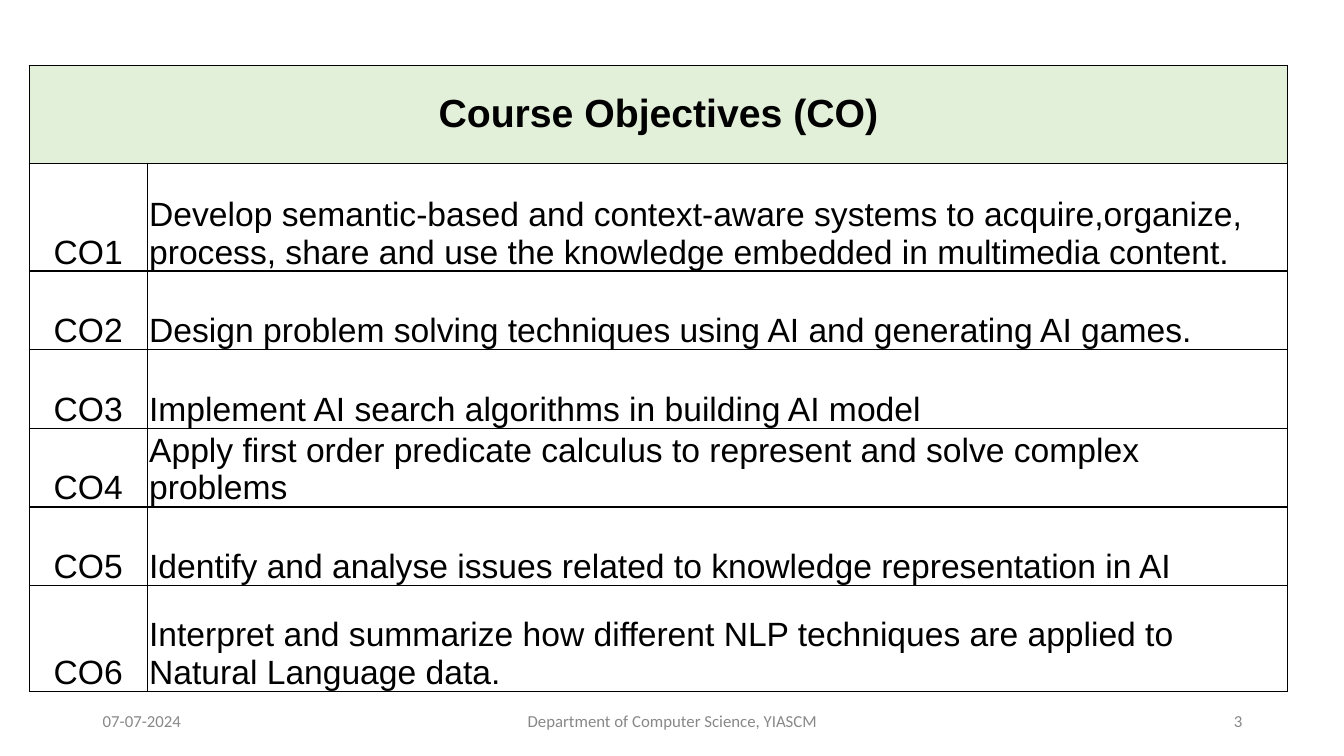
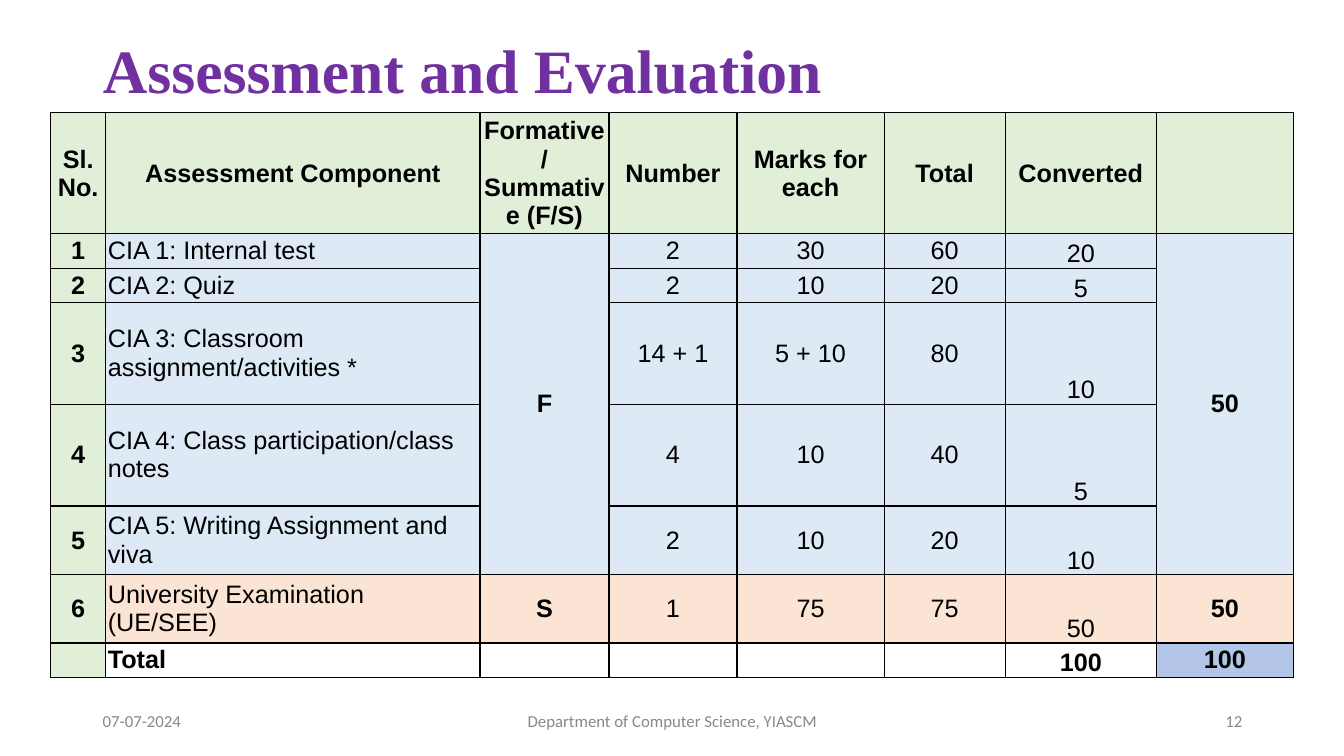
from dataclasses import dataclass
from typing import Callable, Optional

from lxml import etree
from pptx import Presentation
from pptx import util as u
from pptx.dml import color
from pptx.enum import text
from pptx.oxml import ns

# Shared style
COLOURS = {
    "ink": "000000",
    "title": "7030A0",
    "footer": "888888",
    "objectives": "E2EFD9",
    "heading": "E1EFD8",
    "formative": "DDEAF6",
    "summative": "FBE4D4",
    "total": "B3C6E7",
}
LEFT, CENTER, RIGHT = text.PP_ALIGN.LEFT, text.PP_ALIGN.CENTER, text.PP_ALIGN.RIGHT
MIDDLE, BOTTOM = text.MSO_ANCHOR.MIDDLE, text.MSO_ANCHOR.BOTTOM
TITLE_FONT = {"name": "Times New Roman", "size": u.Pt(44), "bold": True}
FOOTER_FONT = {"name": "Calibri", "size": u.Pt(12), "bold": False}
CELL_MARGINS = {
    "margin_left": u.Inches(0.02),
    "margin_right": u.Inches(0.02),
    "margin_top": 0,
    "margin_bottom": 0,
}
FOOTER_DATE = "07-07-2024"
FOOTER_DEPARTMENT = "Department of Computer Science, YIASCM"
TITLE_ONLY, BLANK = 5, 6


@dataclass
class CellStyle:
    fill: Optional[str] = None
    size: int = 18
    bold: bool = False
    align: text.PP_ALIGN = CENTER
    anchor: text.MSO_ANCHOR = MIDDLE


@dataclass
class TableSpec:
    left: float
    top: float
    columns: list[float]
    rows: list[float]
    cells: list[list[str]]
    merges: list[tuple[int, int, int, int]]
    style: Callable[[int, int], CellStyle]


# Content
OBJECTIVES = [
    "Develop semantic-based and context-aware systems to acquire,organize, "
    "process, share and use the knowledge embedded in multimedia content.",
    "Design problem solving techniques using AI and generating AI games.",
    "Implement AI search algorithms in building AI model",
    "Apply first order predicate calculus to represent and solve complex problems",
    "Identify and analyse issues related to knowledge representation in AI",
    "Interpret and summarize how different NLP techniques are applied to "
    "Natural Language data.",
]
ASSESSMENTS = [
    ["Sl. No.", "Assessment Component", "Formative/ Summative (F/S)", "Number",
     "Marks for each", "Total", "Converted", ""],
    ["1", "CIA 1: Internal test", "F", "2", "30", "60", "20", "50"],
    ["2", "CIA 2: Quiz", "", "2", "10", "20", "5", ""],
    ["3", "CIA 3: Classroom assignment/activities *", "", "14 + 1", "5 + 10", "80", "10", ""],
    ["4", "CIA 4: Class participation/class notes", "", "4", "10", "40", "5", ""],
    ["5", "CIA 5: Writing Assignment and viva", "", "2", "10", "20", "10", ""],
    ["6", "University Examination (UE/SEE)", "S", "1", "75", "75", "50", "50"],
    ["", "Total", "", "", "", "", "100", "100"],
]


def objective_style(row: int, column: int) -> CellStyle:
    if row == 0:
        return CellStyle("objectives", 28, True)
    return CellStyle(size=24, align=LEFT if column else CENTER, anchor=BOTTOM)


def assessment_style(row: int, column: int) -> CellStyle:
    if row == 0:
        return CellStyle("heading", bold=True)
    total_row = row == len(ASSESSMENTS) - 1
    if column == 0:
        fill = "heading"
    elif total_row:
        fill = "total" if column == 7 else None
    else:
        fill = "summative" if row == 6 else "formative"
    return CellStyle(
        fill,
        bold=total_row or column in (0, 2, 7),
        align=LEFT if column == 1 else CENTER,
        anchor=BOTTOM if column == 6 else MIDDLE,
    )


OBJECTIVES_TABLE = TableSpec(
    0.29, 0.65,
    [1.17, 11.31],
    [0.97, 1.07, 0.78, 0.78, 0.78, 0.78, 1.05],
    [["Course Objectives (CO)", ""]]
    + [[f"CO{number}", goal] for number, goal in enumerate(OBJECTIVES, 1)],
    [(0, 0, 0, 1)],
    objective_style,
)
ASSESSMENT_TABLE = TableSpec(
    0.5, 1.12,
    [0.55, 3.71, 1.28, 1.27, 1.46, 1.2, 1.5, 1.36],
    [1.01, 0.34, 0.34, 1.01, 1.01, 0.68, 0.68, 0.34],
    ASSESSMENTS,
    [(1, 2, 5, 2), (1, 7, 5, 7)],
    assessment_style,
)


# Drawing
def rgb(name: str) -> color.RGBColor:
    return color.RGBColor.from_string(COLOURS[name])


def apply(target, values: dict) -> None:
    for name, value in values.items():
        setattr(target, name, value)


def write(frame, content: str, font: dict, colour: str, align: text.PP_ALIGN) -> None:
    paragraph = frame.paragraphs[0]
    paragraph.alignment = align
    run = paragraph.add_run()
    run.text = content
    apply(run.font, font)
    run.font.color.rgb = rgb(colour)


def add_borders(cell) -> None:
    properties = cell._tc.get_or_add_tcPr()
    for side in ("a:lnL", "a:lnR", "a:lnT", "a:lnB"):
        line = etree.SubElement(properties, ns.qn(side), w=str(u.Pt(1)))
        fill = etree.SubElement(line, ns.qn("a:solidFill"))
        etree.SubElement(fill, ns.qn("a:srgbClr"), val=COLOURS["ink"])


def format_cell(cell, content: str, style: CellStyle) -> None:
    apply(cell, CELL_MARGINS | {"vertical_anchor": style.anchor})
    add_borders(cell)
    if style.fill:
        cell.fill.solid()
        cell.fill.fore_color.rgb = rgb(style.fill)
    else:
        cell.fill.background()
    if content:
        font = {"name": "Arial", "size": u.Pt(style.size), "bold": style.bold}
        write(cell.text_frame, content, font, "ink", style.align)


def add_table(slide, spec: TableSpec) -> None:
    table = slide.shapes.add_table(
        len(spec.rows), len(spec.columns), u.Inches(spec.left), u.Inches(spec.top),
        u.Inches(sum(spec.columns)), u.Inches(sum(spec.rows)),
    ).table
    apply(table, {"first_row": False, "horz_banding": False})
    for column, width in zip(table.columns, spec.columns):
        column.width = u.Inches(width)
    for row, height in zip(table.rows, spec.rows):
        row.height = u.Inches(height)
    for top, left, bottom, right in spec.merges:
        table.cell(top, left).merge(table.cell(bottom, right))
    for row, contents in enumerate(spec.cells):
        for column, content in enumerate(contents):
            format_cell(table.cell(row, column), content, spec.style(row, column))


def add_footer(slide, page: int) -> None:
    for left, width, content, align in (
        (0.92, 3, FOOTER_DATE, LEFT),
        (4.42, 4.5, FOOTER_DEPARTMENT, CENTER),
        (9.42, 3, str(page), RIGHT),
    ):
        shape = slide.shapes.add_textbox(
            u.Inches(left), u.Inches(6.95), u.Inches(width), u.Inches(0.4)
        )
        apply(shape.text_frame, {"word_wrap": True, "vertical_anchor": MIDDLE})
        write(shape.text_frame, content, FOOTER_FONT, "footer", align)


def set_title(slide, content: str) -> None:
    title = slide.shapes.title
    apply(title, {"left": u.Inches(0.92), "top": 0,
                  "width": u.Inches(11.5), "height": u.Inches(1.45)})
    title.text_frame.vertical_anchor = MIDDLE
    title.text_frame.paragraphs[0].line_spacing = 0.9
    write(title.text_frame, content, TITLE_FONT, "title", LEFT)


def main() -> None:
    presentation = Presentation()
    presentation.slide_width = u.Inches(13.33)
    presentation.slide_height = u.Inches(7.5)
    layouts = presentation.slide_layouts

    # Course objectives
    slide = presentation.slides.add_slide(layouts[BLANK])
    add_table(slide, OBJECTIVES_TABLE)
    add_footer(slide, 3)

    # Assessment and evaluation
    slide = presentation.slides.add_slide(layouts[TITLE_ONLY])
    set_title(slide, "Assessment and Evaluation")
    add_footer(slide, 12)
    add_table(slide, ASSESSMENT_TABLE)

    presentation.save("out.pptx")


if __name__ == "__main__":
    main()
